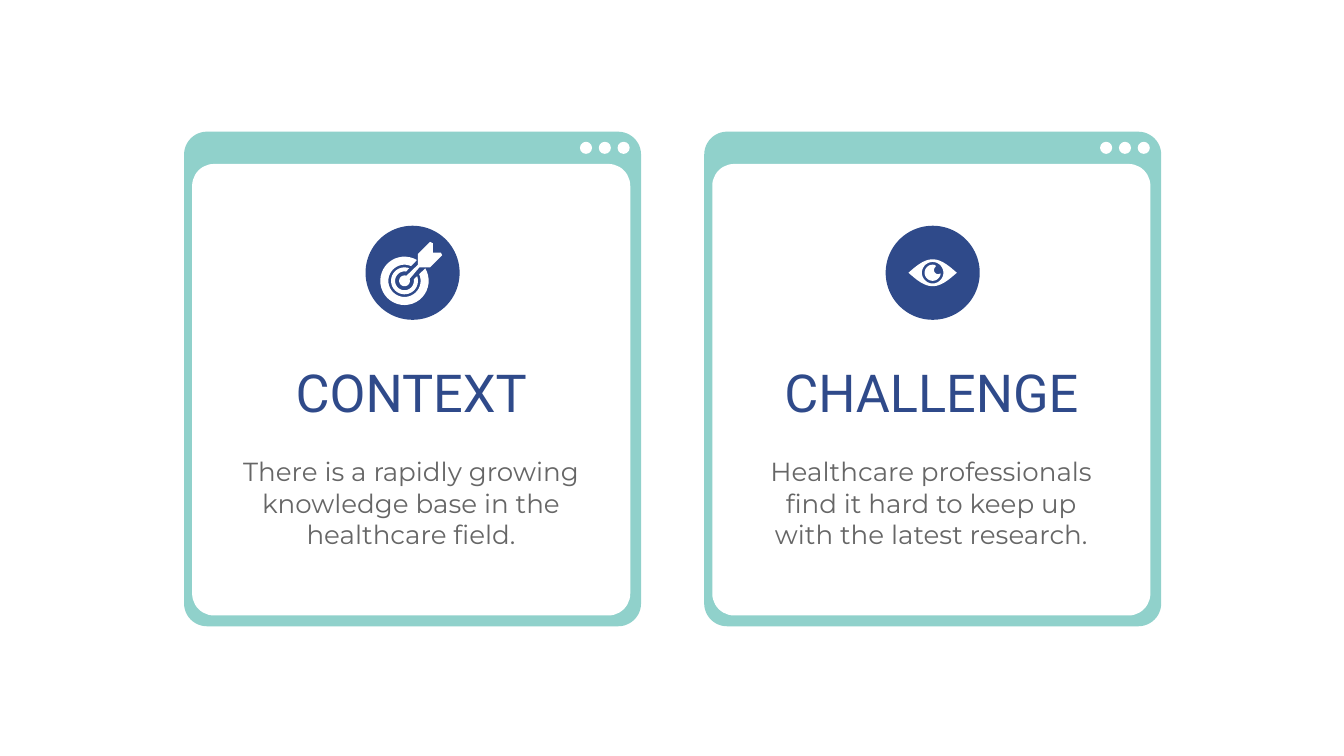
from math import cos, pi, radians, sin

from pptx import Presentation
from pptx.dml.color import RGBColor
from pptx.enum.shapes import MSO_SHAPE
from pptx.enum.text import MSO_ANCHOR, PP_ALIGN
from pptx.util import Inches, Pt

OVAL = MSO_SHAPE.OVAL
ROUNDED = MSO_SHAPE.ROUNDED_RECTANGLE
CENTER = PP_ALIGN.CENTER
TOP = MSO_ANCHOR.TOP

TEAL = RGBColor(0x90, 0xD1, 0xCB)
NAVY = RGBColor(0x2F, 0x4A, 0x8A)
GRAY = RGBColor(0x66, 0x66, 0x66)
WHITE = RGBColor(0xFF, 0xFF, 0xFF)

SLIDE_WIDTH = Inches(10)
SLIDE_HEIGHT = SLIDE_WIDTH * 9 // 16
CARD_LEFT, CARD_TOP, CARD_PITCH = 1.37, 0.98, 3.87
CARD_WIDTH, CARD_HEIGHT = 3.4, 3.68
CORNER = 0.05

DART_HEAD = [(0.04, -0.06), (0.04, -0.14), (0.13, -0.23), (0.15, -0.22),
             (0.15, -0.15), (0.21, -0.15), (0.22, -0.13), (0.13, -0.04),
             (0.05, -0.04)]


def paint(shape, color):
    shape.shadow.inherit = False
    shape.fill.solid()
    shape.fill.fore_color.rgb = color
    shape.line.fill.background()


def add_panel(slide, left, top, width, height, color):
    panel = slide.shapes.add_shape(
        ROUNDED, Inches(left), Inches(top), Inches(width), Inches(height))
    panel.adjustments[0] = CORNER
    paint(panel, color)


def add_circle(slide, x, y, radius, color):
    """Draw a disc centred on x, y."""
    circle = slide.shapes.add_shape(
        OVAL, Inches(x - radius), Inches(y - radius),
        Inches(2 * radius), Inches(2 * radius))
    paint(circle, color)


def arc(x, y, radius, start, end, steps=36):
    """Return points on an arc; angles in degrees, clockwise from the right."""
    angles = [radians(start + (end - start) * step / steps)
              for step in range(steps + 1)]
    return [(x + radius * cos(a), y + radius * sin(a)) for a in angles]


def add_outline(slide, x, y, *contours):
    """Draw white closed contours whose points are offsets from x, y."""
    placed = [[(Inches(x + dx), Inches(y + dy)) for dx, dy in contour]
              for contour in contours]
    builder = slide.shapes.build_freeform(*placed[0][0])
    for number, vertices in enumerate(placed):
        if number:
            builder.move_to(*vertices[0])
        builder.add_line_segments(vertices[1:], close=True)
    paint(builder.convert_to_shape(), WHITE)


def add_text(slide, left, top, width, height, text, font_name, size, color):
    frame = slide.shapes.add_textbox(
        Inches(left), Inches(top), Inches(width), Inches(height)).text_frame
    frame.word_wrap = True
    frame.vertical_anchor = TOP
    frame.margin_left = frame.margin_right = Inches(0.1)
    frame.margin_top = frame.margin_bottom = Inches(0.1)
    paragraph = frame.paragraphs[0]
    paragraph.alignment = CENTER
    run = paragraph.add_run()
    run.text = text
    run.font.name = font_name
    run.font.size = Pt(size)
    run.font.color.rgb = color


def add_target_icon(slide, x, y):
    target = (-0.06, 0.06)
    add_outline(slide, x, y, DART_HEAD + arc(*target, 0.04, -20, 290))
    add_outline(slide, x, y, arc(*target, 0.1, -20, 290)
                + arc(*target, 0.07, 280, -10))
    add_outline(slide, x, y, arc(*target, 0.18, -31, 301)
                + arc(*target, 0.12, 294, -24))


def add_eye_icon(slide, x, y):
    steps = [step / 12 for step in range(-12, 13)]
    upper_lid = [(0.18 * t, -0.1 * cos(t * pi / 2)) for t in steps]
    lower_lid = [(dx, -dy) for dx, dy in reversed(upper_lid[1:-1])]
    add_outline(slide, x, y, upper_lid + lower_lid, arc(0, 0, 0.08, 360, 0))
    add_outline(slide, x, y, arc(0, 0, 0.06, 5, 290)
                + arc(0.04, -0.02, 0.03, 236, 70))


def add_window_card(slide, left, top, title, body, add_icon):
    center = left + CARD_WIDTH / 2
    add_panel(slide, left, top, CARD_WIDTH, CARD_HEIGHT, TEAL)
    add_panel(slide, left + 0.06, top + 0.24, 3.26, 3.36, WHITE)
    for index in range(3):
        add_circle(slide, left + 2.99 + 0.14 * index, top + 0.12, 0.045, WHITE)
    icon_y = top + 1.05
    add_circle(slide, center, icon_y, 0.35, NAVY)
    add_icon(slide, center, icon_y)
    text_left, text_width = left + 0.29, 2.8
    add_text(slide, text_left, top + 1.6, text_width, 0.51,
             title, "Roboto", 28, NAVY)
    add_text(slide, text_left, top + 2.31, text_width, 0.96,
             body, "Montserrat", 14, GRAY)


def main():
    presentation = Presentation()
    presentation.slide_width = SLIDE_WIDTH
    presentation.slide_height = SLIDE_HEIGHT
    slide = presentation.slides.add_slide(presentation.slide_layouts[6])
    cards = [
        ("CONTEXT",
         "There is a rapidly growing knowledge base in the healthcare field.",
         add_target_icon),
        ("CHALLENGE",
         "Healthcare professionals find it hard to keep up with the latest "
         "research.", add_eye_icon),
    ]
    for index, (title, body, add_icon) in enumerate(cards):
        add_window_card(slide, CARD_LEFT + index * CARD_PITCH, CARD_TOP,
                        title, body, add_icon)
    presentation.save("out.pptx")


if __name__ == "__main__":
    main()
